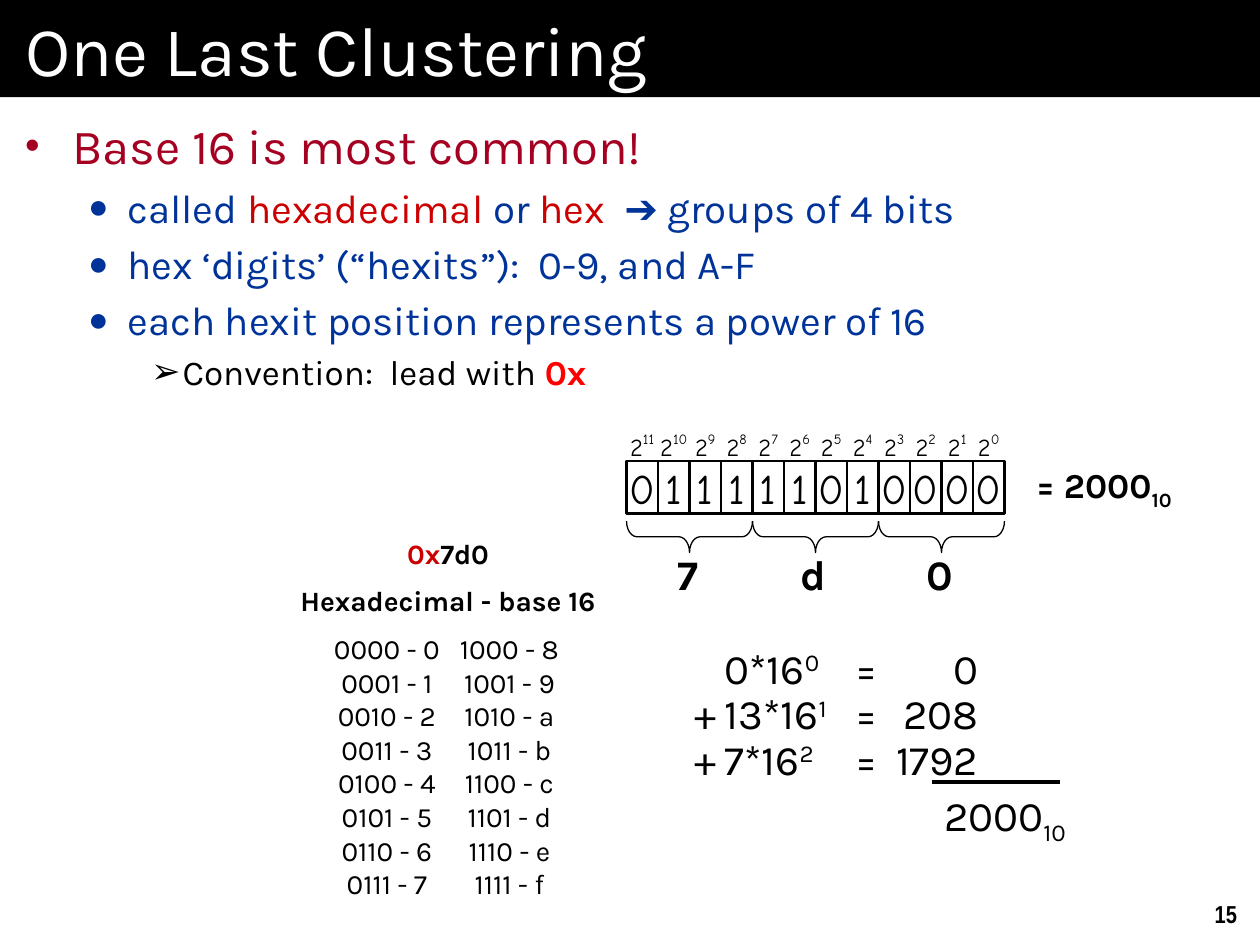
from lxml import etree
from pptx import Presentation
from pptx.dml.color import RGBColor
from pptx.enum import shapes, text
from pptx.oxml import ns
from pptx.util import Pt

BLACK = RGBColor(0x00, 0x00, 0x00)
WHITE = RGBColor(0xFF, 0xFF, 0xFF)
CRIMSON = RGBColor(0xA5, 0x00, 0x21)
BLUE = RGBColor(0x00, 0x33, 0x99)
DARK_RED = RGBColor(0xCC, 0x00, 0x00)
RED = RGBColor(0xFF, 0x00, 0x00)

LEFT, CENTER, RIGHT = text.PP_ALIGN.LEFT, text.PP_ALIGN.CENTER, text.PP_ALIGN.RIGHT
TOP, MIDDLE = text.MSO_ANCHOR.TOP, text.MSO_ANCHOR.MIDDLE


def write(paragraph, words, size=24, color=BLACK, bold=False, font="Karla", baseline=0):
    """Append a run; baseline is the raise (or drop) in percent."""
    run = paragraph.add_run()
    run.text = words
    run.font.size = Pt(size)
    run.font.name = font
    run.font.bold = bold
    run.font.color.rgb = color
    if baseline:
        run.font._element.set("baseline", str(baseline * 1000))


def prepare(frame, anchor=TOP, wrap=True, margins=(7.2, 3.6)):
    """Set the frame up and return its first paragraph."""
    frame.auto_size = text.MSO_AUTO_SIZE.NONE
    frame.word_wrap = wrap
    frame.vertical_anchor = anchor
    frame.margin_left = frame.margin_right = Pt(margins[0])
    frame.margin_top = frame.margin_bottom = Pt(margins[1])
    return frame.paragraphs[0]


def add_text_box(slide, box, **setup):
    frame = slide.shapes.add_textbox(*map(Pt, box)).text_frame
    return frame, prepare(frame, **setup)


def add_child(parent, tag, **attributes):
    return etree.SubElement(parent, ns.qn(tag), attributes)


def set_bullet(paragraph, char, color, margin, indent, percent):
    props = paragraph._p.get_or_add_pPr()
    props.set("marL", str(Pt(margin)))
    props.set("indent", str(Pt(-indent)))
    add_child(add_child(props, "a:buClr"), "a:srgbClr", val=str(color))
    add_child(props, "a:buSzPct", val=str(percent * 1000))
    add_child(props, "a:buFont", typeface="Arial")
    add_child(props, "a:buChar", char=char)


def set_tabs(paragraph, stops):
    tabs = add_child(paragraph._p.get_or_add_pPr(), "a:tabLst")
    for position, align in stops:
        add_child(tabs, "a:tab", pos=str(Pt(position)), algn=align)


def add_title(slide, box, words):
    title = slide.shapes.title
    title.left, title.top, title.width, title.height = map(Pt, box)
    title.fill.solid()
    title.fill.fore_color.rgb = BLACK
    heading = prepare(title.text_frame, MIDDLE, margins=(14.4, 3.6))
    heading.alignment = LEFT
    write(heading, words, 40, WHITE)


def add_points(slide, box):
    # bullet, bullet colour, margin, indent, bullet percent, text size
    styles = [("•", CRIMSON, 27, 27, 85, 28),
              ("●", BLUE, 58.5, 22.5, 85, 23),
              ("➢", BLACK, 90, 18, 100, 20)]
    points = [
        (0, [("Base 16 is most common!", CRIMSON)]),
        (1, [("called ", BLUE), ("hexadecimal ", DARK_RED), ("or ", BLUE),
             ("hex  ", DARK_RED), ("➔ groups of 4 bits", BLUE)]),
        (1, [("hex ‘digits’ (“hexits”):  0-9, and A-F", BLUE)]),
        (1, [("each hexit position represents a power of 16", BLUE)]),
        (2, [("Convention:  lead with ", BLACK), ("0x", RED)]),
    ]
    frame, point = add_text_box(slide, box, margins=(14.4, 10.8))
    for index, (level, parts) in enumerate(points):
        *bullet, size = styles[level]
        if index:
            point = frame.add_paragraph()
            point.space_before = Pt(size * 0.2)
        point.level = level
        set_bullet(point, *bullet)
        for words, color in parts:
            write(point, words, size, color, bold=color == RED)


def add_cell(slide, box, outline):
    cell = slide.shapes.add_shape(shapes.MSO_SHAPE.RECTANGLE, *map(Pt, box))
    cell.shadow.inherit = False
    cell.fill.solid()
    cell.fill.fore_color.rgb = WHITE
    cell.line.color.rgb = outline
    cell.line.width = Pt(1.5)
    digit = prepare(cell.text_frame, MIDDLE, wrap=False, margins=(0, 0))
    digit.alignment = CENTER
    return digit


def add_bit_register(slide, box, bits, hexits):
    """Powers of two over a row of bits, with a brace and hexit per four bits."""
    left, top, width, _ = box
    step = width / len(bits)
    for column in range(len(bits)):
        power = add_cell(slide, (left + column * step, top, step, 30), WHITE)
        write(power, "2", 14, font="Comic Neue")
        write(power, str(len(bits) - 1 - column), 14, font="Comic Neue", baseline=50)
    for column, bit in enumerate(bits):
        digit = add_cell(slide, (left + column * step, top + 23.75, step, 30), BLACK)
        write(digit, bit, font="Comic Neue")

    span = step * 4
    for index, hexit in enumerate(hexits):
        middle = left + span * (index + 0.5)
        brace = slide.shapes.add_shape(
            shapes.MSO_SHAPE.RIGHT_BRACE, Pt(middle - 9), Pt(top + 67 - span / 2),
            Pt(18), Pt(span))
        brace.rotation = 90
        brace.adjustments[0] = 0.333
        brace.shadow.inherit = False
        brace.fill.background()
        brace.line.color.rgb = BLACK
        brace.line.width = Pt(0.75)
        _, label = add_text_box(slide, (middle - 16, top + 70, 30, 36.5))
        label.alignment = CENTER
        write(label, hexit, bold=True)

    _, value = add_text_box(slide, (left + width + 11, top + 21.5, 106, 32), wrap=False)
    write(value, "= 2000", 20, bold=True)
    write(value, "10", 20, bold=True, baseline=-25)


def add_hex_table(slide, box):
    frame, example = add_text_box(slide, box)
    example.alignment = CENTER
    write(example, "0x", 16, DARK_RED, bold=True)
    write(example, "7d0", 16, bold=True)
    heading = frame.add_paragraph()
    heading.alignment = CENTER
    heading.space_before = Pt(8)
    write(heading, "Hexadecimal - base 16", 16, bold=True)
    for low in range(8):
        row = frame.add_paragraph()
        row.space_before = Pt(0 if low else 8)
        set_tabs(row, [(57, "ctr"), (127, "ctr")])
        write(row, "".join(f"\t{n:04b} - {n:x}" for n in (low, low + 8)), 16)


def add_sum(slide, box):
    left, top, width, _ = box
    terms = [("", "0*16", "0", "0"), ("+", "13*16", "1", "208"), ("+", "7*16", "2", "1792")]
    for index, (sign, product, exponent, value) in enumerate(terms):
        _, row = add_text_box(slide, (left, top + index * 26, width, 36.5))
        set_tabs(row, [(17, "l"), (92, "l"), (162, "r")])
        write(row, f"{sign}\t{product}")
        write(row, exponent, baseline=30)
        write(row, f"\t=\t{value}")
    _, total = add_text_box(slide, (left + 142.5, top + 84, 95, 36.5), wrap=False)
    write(total, "2000")
    write(total, "10", baseline=-25)

    rule_y = Pt(top + 83.5)
    rule = slide.shapes.add_connector(
        shapes.MSO_CONNECTOR.STRAIGHT, Pt(left + 142.5), rule_y, Pt(left + 216), rule_y)
    rule.line.color.rgb = BLACK
    rule.line.width = Pt(2.25)
    add_child(rule._element.spPr, "a:effectLst")


def add_page_number(slide, box, number):
    _, page = add_text_box(slide, box)
    page.alignment = RIGHT
    write(page, number, 14, bold=True, font="Arial Narrow")


def main():
    deck = Presentation()
    deck.slide_width, deck.slide_height = Pt(720), Pt(540)
    slide = deck.slides.add_slide(deck.slide_layouts[5])
    add_title(slide, (0, 0, 720, 55.5), "One Last Clustering")
    add_points(slide, (0, 55.5, 720, 180))
    add_bit_register(slide, (358, 239.75, 216, 107), "011111010000", "7d0")
    add_hex_table(slide, (157, 303, 198, 220))
    add_sum(slide, (390, 363.5, 221, 121))
    add_page_number(slide, (684, 510, 30, 24), "15")
    deck.save("out.pptx")


if __name__ == "__main__":
    main()
